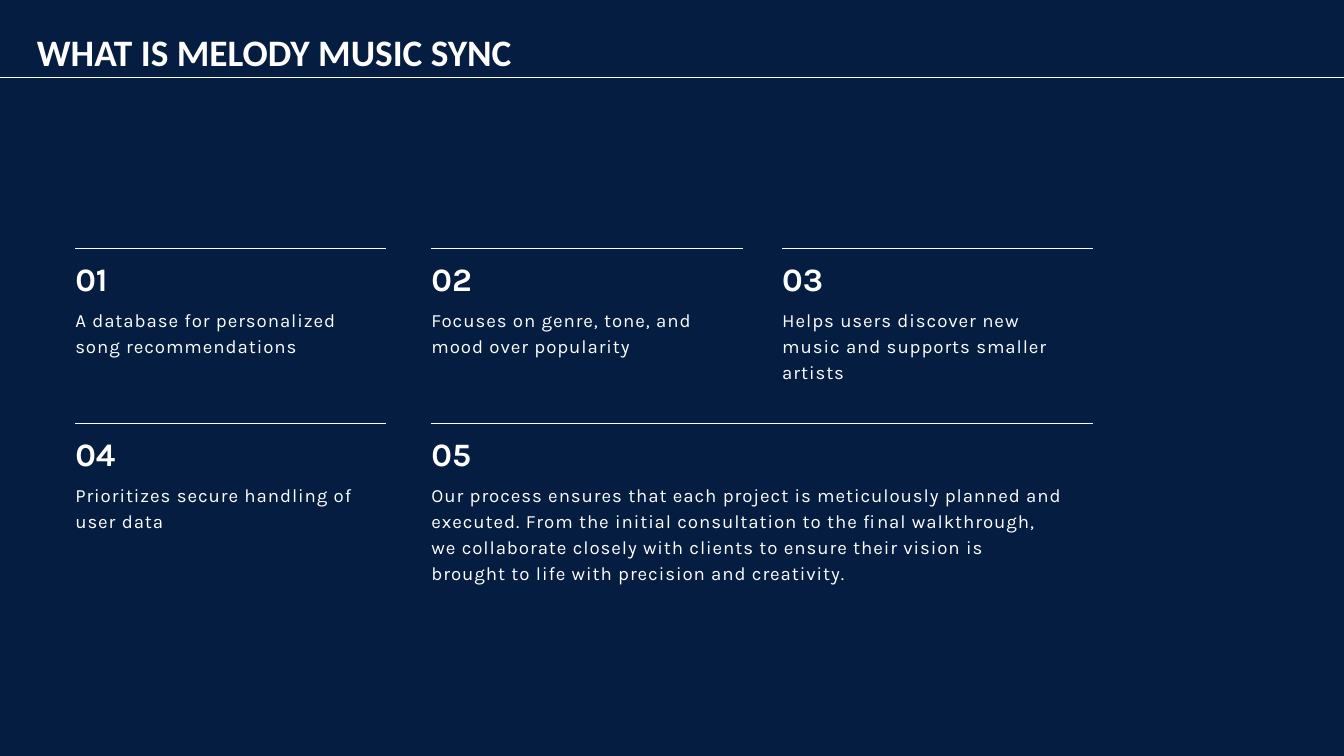
from lxml import etree
from pptx import Presentation
from pptx import util as u
from pptx.dml.color import RGBColor
from pptx.enum import shapes, text
from pptx.oxml.ns import qn

NAVY, WHITE = "051D40", "FFFFFF"
WIDTH, HEIGHT = 20, 11.25
COLUMNS = [1.12, 6.42, 11.64]
ROWS = [3.7, 6.3]
RIGHT_EDGE = 16.26
RULE_WIDTH = 4.63

TITLE = {"name": "Calibri", "size": u.Pt(40), "bold": True}
NUMBER = {"name": "Karla", "size": u.Pt(35), "bold": True}
BODY = {"name": "Karla", "size": u.Pt(20), "bold": False}

deck = Presentation()
deck.slide_width, deck.slide_height = u.Inches(WIDTH), u.Inches(HEIGHT)
page = deck.slides.add_slide(deck.slide_layouts[6])
page.background.fill.solid()
page.background.fill.fore_color.rgb = RGBColor.from_string(NAVY)


def add_text(words, left, top, width, height, font, leading, tracking=0):
    """Add white text without margins; leading and tracking are in points."""
    box = page.shapes.add_textbox(*map(u.Inches, (left, top, width, height)))
    frame = box.text_frame
    frame.word_wrap = True
    frame.auto_size = text.MSO_AUTO_SIZE.SHAPE_TO_FIT_TEXT
    for side in ("left", "top", "right", "bottom"):
        setattr(frame, f"margin_{side}", 0)
    para = frame.paragraphs[0]
    para.line_spacing = u.Pt(leading)
    span = para.add_run()
    span.text = words
    for key, value in font.items():
        setattr(span.font, key, value)
    span.font.color.rgb = RGBColor.from_string(WHITE)
    if tracking:
        span.font._element.set("spc", str(tracking * 100))


def add_rule(left, right, top, weight):
    rule = page.shapes.add_connector(
        shapes.MSO_CONNECTOR.STRAIGHT, *map(u.Inches, (left, top, right, top)))
    rule.line.color.rgb = RGBColor.from_string(WHITE)
    rule.line.width = u.Pt(weight)
    etree.SubElement(rule._element.spPr, qn("a:effectLst"))


# Column, row, text width, text height, words
points = [
    (0, 0, 4.42, 0.75, "A database for personalized song recommendations"),
    (1, 0, 4.63, 0.75, "Focuses on genre, tone, and mood over popularity"),
    (2, 0, 4.42, 1.14, "Helps users discover new music and supports smaller artists"),
    (0, 1, 4.42, 0.75, "Prioritizes secure handling of user data"),
    (1, 1, 9.39, 1.53,
     "Our process ensures that each project is meticulously planned and executed. "
     "From the initial consultation to the final walkthrough, we collaborate closely "
     "with clients to ensure their vision is brought to life with precision and creativity."),
]
for number, (column, row, width, height, words) in enumerate(points, 1):
    left, top = COLUMNS[column], ROWS[row]
    right = RIGHT_EDGE if width > RULE_WIDTH else left + RULE_WIDTH
    add_rule(left, right, top, 1)
    add_text(f"{number:02}", left, top + 0.11, width, 0.61, NUMBER, 45.5)
    add_text(words, left, top + 0.84, width, height, BODY, 28, tracking=1)

add_rule(0, WIDTH, 1.15, 0.75)
add_text("WHAT IS MELODY MUSIC SYNC", 0.55, 0.15, 9.45, 0.9, TITLE, 68.8)

deck.save("out.pptx")
